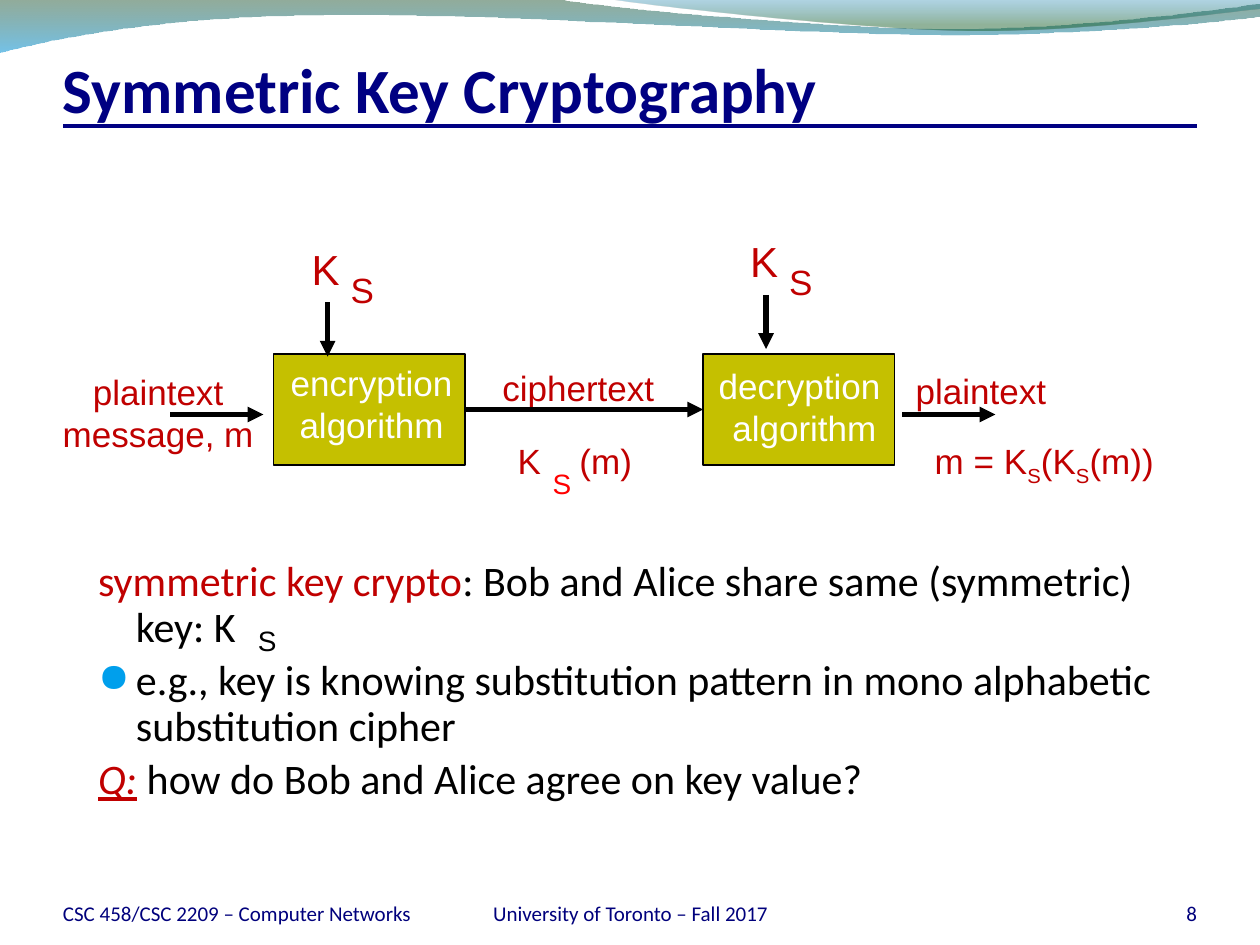
from lxml.etree import SubElement
from pptx import Presentation
from pptx.dml.color import RGBColor
from pptx.enum.shapes import MSO_CONNECTOR, MSO_SHAPE
from pptx.enum.text import MSO_ANCHOR, MSO_AUTO_SIZE, PP_ALIGN
from pptx.oxml.ns import qn
from pptx.util import Inches, Pt

COLORS = {
    "navy": "000082", "footer": "00007C", "red": "C00000", "bright_red": "FF0000",
    "black": "000000", "white": "FFFFFF", "olive": "C5C000", "bullet": "009FEC",
    "forest": "0F461E", "sky": "0090D6", "ocean": "0076AF", "green": "0D5821",
}
LABEL = {"name": "Arial", "size": Pt(20), "color": "red"}
KEY = LABEL | {"size": Pt(24)}
BOX_TEXT = LABEL | {"color": "white"}
SMALL_KEY = LABEL | {"size": Pt(16)}
TITLE = {"name": "Calibri", "size": Pt(36), "bold": True, "color": "navy"}
BODY = {"name": "Calibri", "size": Pt(24), "color": "black"}
FOOTER = {"name": "Calibri", "size": Pt(12), "color": "footer"}

# Each wave: start point, then lines (one point) and Bezier curves (three points).
WAVES = [
    ((0, -0.01), [
        [(4.4, -0.01)],
        [(4.76, 0.06), (6.64, 0.23), (7.58, 0.23)],
        [(8.53, 0.23), (9.58, 0.09), (10, 0.03)],
        [(10.01, 0.13)],
        [(9.83, 0.16), (8.7, 0.28), (7.46, 0.28)],
        [(6.22, 0.27), (3.82, 0.1), (2.57, 0.12)],
        [(1.29, 0.13), (0.46, 0.3), (-0.01, 0.42)],
    ], [(0, "forest", 45), (1, "sky", 55)]),
    ((4.79, -0.01), [
        [(5.09, 0.04), (6.82, 0.23), (7.69, 0.24)],
        [(8.56, 0.25), (9.61, 0.11), (10, 0.07)],
        [(10, -0.01)],
    ], [(0, "ocean", 30), (0.8, "green", 45)]),
]


def rgb(name):
    return RGBColor.from_string(COLORS[name])


def apply_font(font, formats):
    for name, value in formats.items():
        if name == "color":
            font.color.rgb = rgb(value)
        else:
            setattr(font, name, value)


def add_runs(paragraph, runs, formats):
    """Add (text, format changes) runs; a baseline is given in percent."""
    for text, changes in runs:
        run = paragraph.add_run()
        run.text = text
        merged = formats | changes
        baseline = merged.pop("baseline", None)
        apply_font(run.font, merged)
        if baseline:
            run.font._element.set("baseline", str(baseline * 1000))


def add_text(shapes, box, lines, formats, align=PP_ALIGN.CENTER,
             anchor=MSO_ANCHOR.TOP, margins=None, wrap=False, fill=None):
    """Add a text box; each line is a string or a list of runs."""
    shape = shapes.add_textbox(*map(Inches, box))
    if fill:
        shape.fill.solid()
        shape.fill.fore_color.rgb = rgb(fill)
    frame = shape.text_frame
    frame.word_wrap = wrap
    frame.auto_size = MSO_AUTO_SIZE.NONE if wrap else MSO_AUTO_SIZE.SHAPE_TO_FIT_TEXT
    frame.vertical_anchor = anchor
    for side, value in (margins or {}).items():
        setattr(frame, f"margin_{side}", Inches(value))
    for index, line in enumerate(lines):
        paragraph = frame.add_paragraph() if index else frame.paragraphs[0]
        paragraph.alignment = align
        add_runs(paragraph, [(line, {})] if isinstance(line, str) else line, formats)
    return shape


def add_line(shapes, start, end, color="black", width=3, arrow=True):
    line = shapes.add_connector(MSO_CONNECTOR.STRAIGHT, *map(Inches, start + end))
    line.line.color.rgb = rgb(color)
    line.line.width = Pt(width)
    if arrow:
        SubElement(line.line._get_or_add_ln(), qn("a:tailEnd"), type="triangle")
    SubElement(line._element.spPr, qn("a:effectLst"))
    return line


def bezier(points, steps=16):
    """Return points along a cubic curve, without its start."""
    weights = [((1 - t) ** 3, 3 * t * (1 - t) ** 2, 3 * t * t * (1 - t), t ** 3)
               for t in (step / steps for step in range(1, steps + 1))]
    return [tuple(sum(w * p[axis] for w, p in zip(row, points)) for axis in (0, 1))
            for row in weights]


def add_waves(slide, left, top):
    for start, segments, stops in WAVES:
        outline = [start]
        for segment in segments:
            outline += bezier([outline[-1]] + segment) if len(segment) == 3 else segment
        points = [(Inches(left + x), Inches(top + y)) for x, y in outline]
        builder = slide.shapes.build_freeform(*points[0])
        builder.add_line_segments(points[1:], close=True)
        wave = builder.convert_to_shape()
        wave.shadow.inherit = False
        wave.line.fill.background()
        wave.fill.gradient()
        wave.fill.gradient_angle = 270
        for stop, (position, color, _) in zip(wave.fill.gradient_stops, stops):
            stop.position = position
            stop.color.rgb = rgb(color)
        gradient_colors = wave._element.xpath(".//a:gs/a:srgbClr")
        for element, (_, _, opacity) in zip(gradient_colors, stops):
            SubElement(element, qn("a:alpha"), val=str(opacity * 1000))


def add_title(slide, left, top, width, height):
    add_line(slide.shapes, (left, top + height), (left + width, top + height),
             "navy", 2.25, arrow=False)
    add_text(slide.shapes, (left, top, width, height), ["Symmetric Key Cryptography"],
             TITLE, PP_ALIGN.LEFT, MSO_ANCHOR.BOTTOM,
             {"left": 0, "top": 0.05, "right": 0, "bottom": 0}, wrap=True)


def add_key(slide, left, top):
    """Add the key K with its subscript S and the arrow below it."""
    group = slide.shapes.add_group_shape()
    add_text(group.shapes, (left, top, 0.43, 0.51), ["K"], KEY, fill="white")
    add_text(group.shapes, (left + 0.31, top + 0.2, 0.39, 0.43), ["S"], LABEL)
    add_line(slide.shapes, (left + 0.23, top + 0.52), (left + 0.23, top + 0.95))


def add_algorithm(slide, left, top, lines, text_box):
    """Add an algorithm rectangle; text_box is relative to it."""
    rectangle = slide.shapes.add_shape(MSO_SHAPE.RECTANGLE, *map(
        Inches, (left, top, 1.52, 0.88)))
    rectangle.shadow.inherit = False
    rectangle.fill.solid()
    rectangle.fill.fore_color.rgb = rgb("olive")
    rectangle.line.color.rgb = rgb("black")
    rectangle.line.width = Pt(0.75)
    x, y, width, height = text_box
    add_text(slide.shapes, (left + x, top + y, width, height), lines, BOX_TEXT)
    return rectangle


def add_diagram(slide, left, top):
    shapes = slide.shapes

    def place(x, y, *size):
        return (left + x, top + y, *size)

    add_text(shapes, place(6.77, 1.06, 1.25, 0.44), ["plaintext"], LABEL, fill="white")
    add_text(shapes, place(3.49, 1.04, 1.42, 0.44), ["ciphertext"], LABEL, fill="white")
    encryption = add_algorithm(slide, *place(1.78, 0.99), ["encryption", "algorithm"],
                               (0.03, 0.01, 1.5, 0.77))
    decryption = add_algorithm(slide, *place(5.19, 0.99), ["decryption ", "algorithm"],
                               (0.02, 0.03, 1.57, 0.77))
    channel = add_line(shapes, place(3.3, 1.43), place(5.19, 1.43))
    channel.begin_connect(encryption, 3)
    channel.end_connect(decryption, 1)
    for x in (0.96, 6.77):
        add_line(shapes, place(x, 1.47), place(x + 0.74, 1.47))
    add_key(slide, *place(1.98, 0.06))
    add_key(slide, *place(5.46, 0))
    add_text(shapes, place(0, 1.07, 1.73, 0.77), ["plaintext", "message, m"], LABEL)

    encrypted = add_text(shapes, place(3.62, 1.62, 1.12, 0.43), [], LABEL)
    paragraph = encrypted.text_frame.paragraphs[0]
    tabs = SubElement(paragraph._p.get_or_add_pPr(), qn("a:tabLst"))
    SubElement(tabs, qn("a:tab"), pos=str(Inches(0.49)), algn="l")
    add_runs(paragraph, [("K\t(m)", {})], LABEL)
    add_text(shapes, place(3.89, 1.83, 0.36, 0.37), ["S"],
             SMALL_KEY | {"color": "bright_red"})

    subscript = ("S", {"baseline": -25})
    add_text(shapes, place(6.93, 1.62, 1.98, 0.44),
             [[("m = K", {}), subscript, ("(K", {}), subscript, ("(m))", {})]],
             LABEL, PP_ALIGN.LEFT)


def add_explanation(slide, left, top, width, height):
    lines = [
        [("symmetric key crypto", {"color": "red"}),
         (": Bob and Alice share same (symmetric) key: K", {})],
        "e.g., key is knowing substitution pattern in mono alphabetic substitution cipher",
        [("Q:", {"color": "red", "italic": True, "underline": True}),
         (" how do Bob and Alice agree on key value?", {})],
    ]
    body = add_text(slide.shapes, (left, top, width, height), lines, BODY,
                    PP_ALIGN.LEFT, wrap=True)
    for index, paragraph in enumerate(body.text_frame.paragraphs):
        paragraph.line_spacing = 0.9
        paragraph.space_before = Pt(4.8 if index else 0)
        properties = paragraph._p.get_or_add_pPr()
        properties.set("marL", str(Inches(0.3)))
        properties.set("indent", str(-Inches(0.3)))
        if index == 1:
            color = SubElement(properties, qn("a:buClr"))
            SubElement(color, qn("a:srgbClr"), val=COLORS["bullet"])
            SubElement(properties, qn("a:buSzPct"), val="95000")
            SubElement(properties, qn("a:buChar"), char="●")
        else:
            SubElement(properties, qn("a:buNone"))
    add_text(slide.shapes, (left + 1.26, top + 0.5, 0.36, 0.37), ["S"],
             SMALL_KEY | {"color": "black"})


def add_footer(slide, left, top, height):
    margins = dict.fromkeys(("left", "top", "right", "bottom"), 0)
    for x, width, text, align in (
        (0, 2.83, "CSC 458/CSC 2209 – Computer Networks", PP_ALIGN.LEFT),
        (2.92, 3.17, "University of Toronto – Fall 2017", PP_ALIGN.CENTER),
        (8.17, 0.83, "8", PP_ALIGN.RIGHT),
    ):
        add_text(slide.shapes, (left + x, top, width, height), [text], FOOTER, align,
                 MSO_ANCHOR.BOTTOM, margins, wrap=True)


def main():
    presentation = Presentation()
    presentation.slide_width, presentation.slide_height = Inches(10), Inches(7.5)
    slide = presentation.slides.add_slide(presentation.slide_layouts[6])
    add_waves(slide, 0, 0)
    add_title(slide, 0.5, 0.33, 9, 0.67)
    add_footer(slide, 0.5, 6.95, 0.4)
    add_explanation(slide, 0.68, 4.4, 8.99, 2.16)
    add_diagram(slide, 0.39, 1.82)
    presentation.save("out.pptx")


if __name__ == "__main__":
    main()
